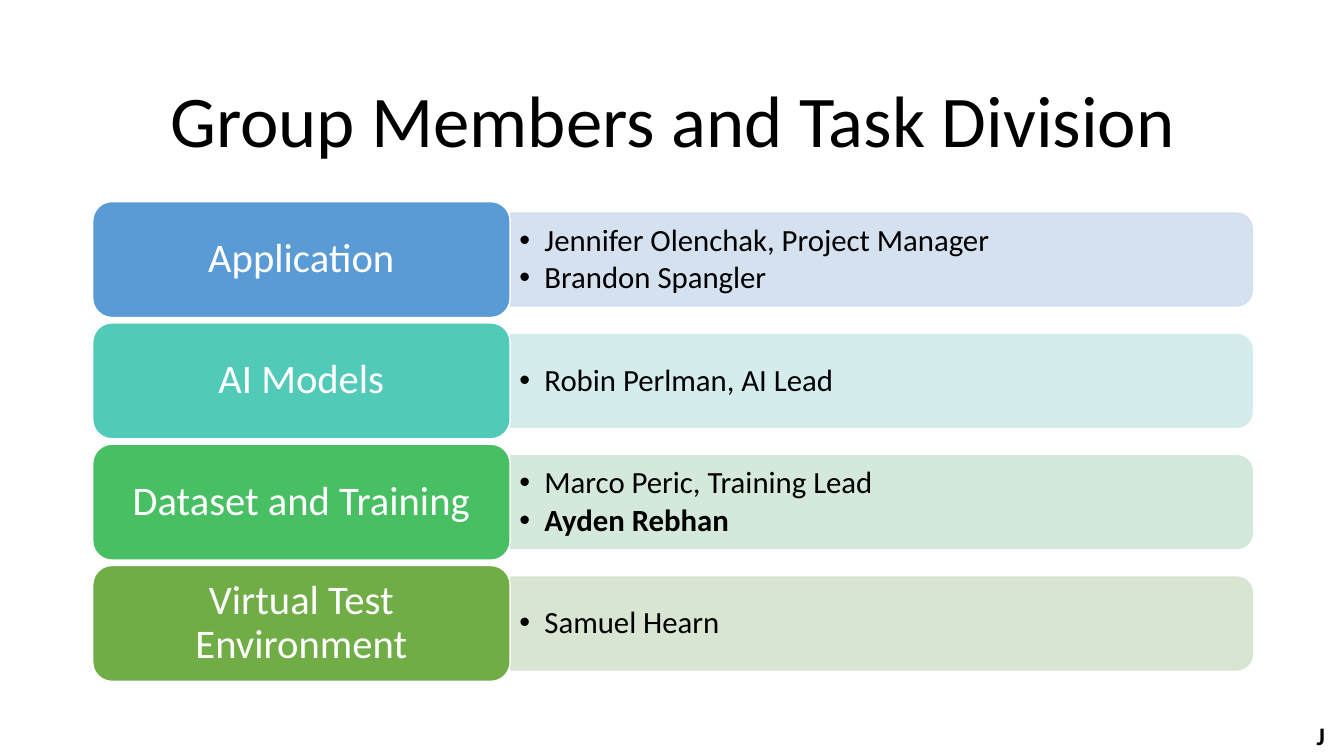
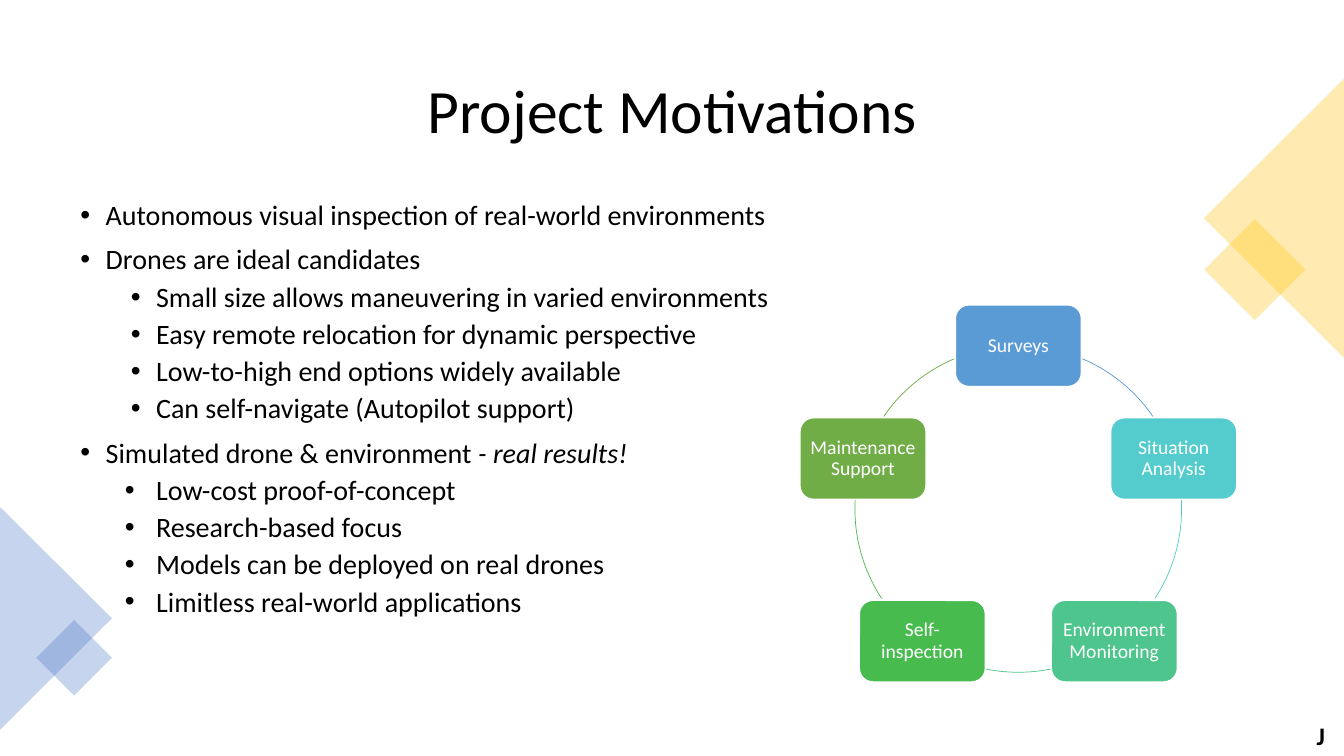
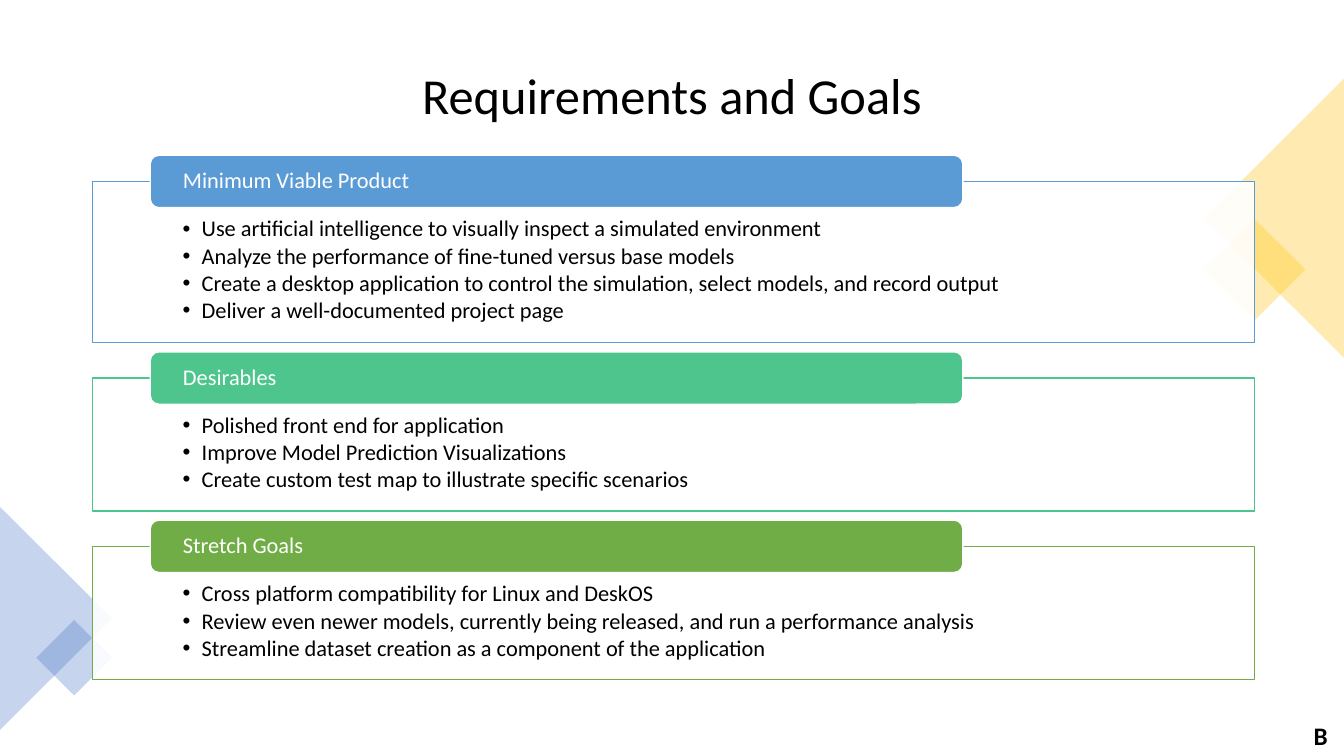
from math import cos, radians, sin

from lxml.etree import SubElement as Sub
from pptx import Presentation
from pptx.dml.color import RGBColor as RGB
from pptx.enum.shapes import MSO_SHAPE as Kind
from pptx.enum.text import MSO_ANCHOR as Anchor, PP_ALIGN as Align
from pptx.oxml.ns import qn
from pptx.util import Inches, Pt

FONT = "Calibri"
HUES = {
    "black": "000000",
    "white": "FFFFFF",
    "blue": "5B9BD5",
    "teal": "52CAB8",
    "aqua": "54CCCD",
    "mint": "4DC58D",
    "leaf": "49BF64",
    "green": "48BB4F",
    "olive": "70AD47",
    "pale blue": "D2DEEF",
    "pale teal": "D0ECEA",
    "pale leaf": "D0E7D8",
    "pale olive": "D5E3CF",
    "gold": "FFC000",
    "navy": "4472C4",
}

TEAMS = [
    ("Application", "blue", "pale blue",
     [("Jennifer Olenchak, Project Manager", False), ("Brandon Spangler", False)]),
    ("AI Models", "teal", "pale teal", [("Robin Perlman, AI Lead", False)]),
    ("Dataset and Training", "leaf", "pale leaf",
     [("Marco Peric, Training Lead", False), ("Ayden Rebhan", True)]),
    ("Virtual Test Environment", "olive", "pale olive", [("Samuel Hearn", False)]),
]

POINTS = [
    ("Autonomous visual inspection of real-world environments", "", 0.25, []),
    ("Drones are ideal candidates", "", 0.25, [
        "Small size allows maneuvering in varied environments",
        "Easy remote relocation for dynamic perspective",
        "Low-to-high end options widely available",
        "Can self-navigate (Autopilot support)",
    ]),
    ("Simulated drone & environment ", "- real results!", 0.31, [
        "Low-cost proof-of-concept",
        "Research-based focus",
        "Models can be deployed on real drones",
        "Limitless real-world applications",
    ]),
]

USES = [
    ("Surveys", "blue", 293.1, 325.5),
    ("Situation Analysis", "aqua", 356.8, 33.2),
    ("Environment Monitoring", "mint", 78.3, 101.7),
    ("Self-inspection", "green", 146.8, 183.2),
    ("Maintenance Support", "olive", 214.5, 246.9),
]

GOALS = [
    ("Minimum Viable Product", "blue", [
        "Use artificial intelligence to visually inspect a simulated environment",
        "Analyze the performance of fine-tuned versus base models",
        "Create a desktop application to control the simulation, select models, "
        "and record output",
        "Deliver a well-documented project page",
    ]),
    ("Desirables", "mint", [
        "Polished front end for application",
        "Improve Model Prediction Visualizations",
        "Create custom test map to illustrate specific scenarios",
    ]),
    ("Stretch Goals", "olive", [
        "Cross platform compatibility for Linux and DeskOS",
        "Review even newer models, currently being released, "
        "and run a performance analysis",
        "Streamline dataset creation as a component of the application",
    ]),
]


def hue(name):
    return RGB.from_string(HUES[name])


def outline(shape, color, width=1):
    shape.line.color.rgb = hue(color)
    shape.line.width = Pt(width)


def fade(shape, amount):
    for node in shape.element.spPr.iter(qn("a:srgbClr")):
        Sub(node, qn("a:alpha"), val=str(amount * 1000))


def block(slide, kind, box, fill=None, line=None, width=1, turn=0):
    shape = slide.shapes.add_shape(kind, *map(Inches, box))
    shape.shadow.inherit = False
    shape.rotation = turn
    if fill:
        shape.fill.solid()
        shape.fill.fore_color.rgb = hue(fill)
    else:
        shape.fill.background()
    if line:
        outline(shape, line, width)
    else:
        shape.line.fill.background()
    return shape


def frame(shape, pads=(0.1, 0.05, 0.1, 0.05), anchor=Anchor.MIDDLE):
    text = shape.text_frame
    text.word_wrap = True
    text.vertical_anchor = anchor
    (text.margin_left, text.margin_top,
     text.margin_right, text.margin_bottom) = map(Inches, pads)
    return text


def area(slide, box, *rest):
    return frame(slide.shapes.add_textbox(*map(Inches, box)), *rest)


def para(text, first, align=Align.LEFT, space=0.9):
    line = text.paragraphs[0] if first else text.add_paragraph()
    line.alignment = align
    line.line_spacing = space
    return line


def add(line, words, size, ink="black", bold=False, slant=False):
    run = line.add_run()
    run.text = words
    font = run.font
    font.name, font.size = FONT, Pt(size)
    font.bold, font.italic = bold, slant
    font.color.rgb = hue(ink)


def dot(line, left, hang):
    props = line._p.get_or_add_pPr()
    props.set("marL", str(Inches(left)))
    props.set("indent", str(-Inches(hang)))
    Sub(props, qn("a:buFont"), typeface="Arial")
    Sub(props, qn("a:buChar"), char="•")


def items(text, rows, size, indent):
    for i, (words, bold) in enumerate(rows):
        line = para(text, i == 0)
        dot(line, indent, indent)
        line.space_after = Pt(round(size * 0.13, 1))
        add(line, words, size, bold=bold)


def label(shape, words, size, pads, align=Align.CENTER):
    add(para(frame(shape, pads), True, align), words, size, "white")


def start(deck, title, box, size, mark):
    slide = deck.slides.add_slide(deck.slide_layouts[6])
    add(para(area(slide, box), True, Align.CENTER), title, size)
    sign = para(area(slide, (12.87, 7.1, 0.46, 0.4)), True, Align.CENTER, 1.0)
    add(sign, mark, 18, bold=True)
    return slide


def decor(slide):
    for kind, box, color, turn in (
        (Kind.RECTANGLE, (12.09, 2.32, 0.71, 0.71), "gold", 45),
        (Kind.ISOSCELES_TRIANGLE, (11.25, 1.47, 2.77, 1.39), "gold", 270),
        (Kind.ISOSCELES_TRIANGLE, (-0.55, 5.58, 2.21, 1.11), "navy", 90),
        (Kind.RECTANGLE, (0.47, 6.26, 0.53, 0.53), "navy", 45),
    ):
        fade(block(slide, kind, box, color, turn=turn), 30)


def team(slide, top, name, color, pale, people):
    high, wide, tall = 0.92, 7.36, 1.15
    mid = top + tall / 2
    box = (5.06 + (wide - high) / 2, mid - wide / 2, high, wide)
    bar = block(slide, Kind.ROUND_2_SAME_RECTANGLE, box, pale, pale, turn=90)
    fade(bar, 90)
    text = area(slide, (5.06, mid - 0.41, 7.32, 0.83), (0.09, 0.05, 0.09, 0.05))
    items(text, people, 22, 0.25)
    card = block(slide, Kind.ROUNDED_RECTANGLE, (0.92, top, 4.14, tall), color, "white")
    label(card, name, 29, (0.12, 0.06, 0.12, 0.06))


def points(slide):
    text = area(slide, (0.7, 1.95, 11.93, 4.81), (0.1, 0.05, 0.1, 0.05), Anchor.TOP)
    for i, (words, extra, hang, subs) in enumerate(POINTS):
        line = para(text, i == 0)
        dot(line, 0.25, 0.25)
        if i:
            line.space_before = Pt(10)
        add(line, words, 20)
        if extra:
            add(line, extra, 20, slant=True)
        for sub in subs:
            line = para(text, False)
            dot(line, 0.75, hang)
            line.space_before = Pt(5)
            add(line, sub, 20)


def cycle(slide):
    x, y, reach, wide, tall = 10.1, 5.05, 1.62, 1.25, 0.81
    ring = (x - reach, y - reach, 2 * reach, 2 * reach)
    for i, (name, color, head, tail) in enumerate(USES):
        turn = radians(360 / len(USES) * i - 90)
        left = x + reach * cos(turn) - wide / 2
        top = y + reach * sin(turn) - tall / 2
        box = (left, top, wide, tall)
        node = block(slide, Kind.ROUNDED_RECTANGLE, box, color, "white")
        label(node, name, 14, (0.06,) * 4)
        arc = block(slide, Kind.ARC, ring, line=color, width=0.5)
        arc.adjustments[0] = head * 0.6
        arc.adjustments[1] = tail * 0.6


def goal(slide, top, tall, name, color, rows):
    panel = block(slide, Kind.RECTANGLE, (0.92, top, 11.52, tall), "white")
    fade(panel, 90)
    outline(panel, color)
    text = frame(panel, (0.89, 0.36, 0.89, 0.12), Anchor.TOP)
    items(text, [(row, False) for row in rows], 16, 0.19)
    tab = block(slide, Kind.ROUNDED_RECTANGLE, (1.49, top - 0.26, 8.06, 0.52),
                color, "white")
    label(tab, name, 16, (0.3, 0, 0.3, 0), Align.LEFT)


def main():
    deck = Presentation()
    deck.slide_width, deck.slide_height = Inches(13.33), Inches(7.5)

    slide = start(deck, "Group Members and Task Division",
                  (0.92, 0.61, 11.5, 1.24), 52, "J")
    step = (5.61 - 2) / (len(TEAMS) - 1)
    for i, row in enumerate(TEAMS):
        team(slide, 2 + i * step, *row)

    slide = start(deck, "Project Motivations", (0.92, 0.4, 11.5, 1.45), 44, "J")
    points(slide)
    decor(slide)
    cycle(slide)

    slide = start(deck, "Requirements and Goals", (0.7, 0.35, 11.93, 1.24), 36, "B")
    decor(slide)
    top = 1.8
    for name, color, rows in GOALS:
        tall = 0.48 + 0.28 * len(rows)
        goal(slide, top, tall, name, color, rows)
        top += tall + 0.35

    deck.save("out.pptx")


if __name__ == "__main__":
    main()
